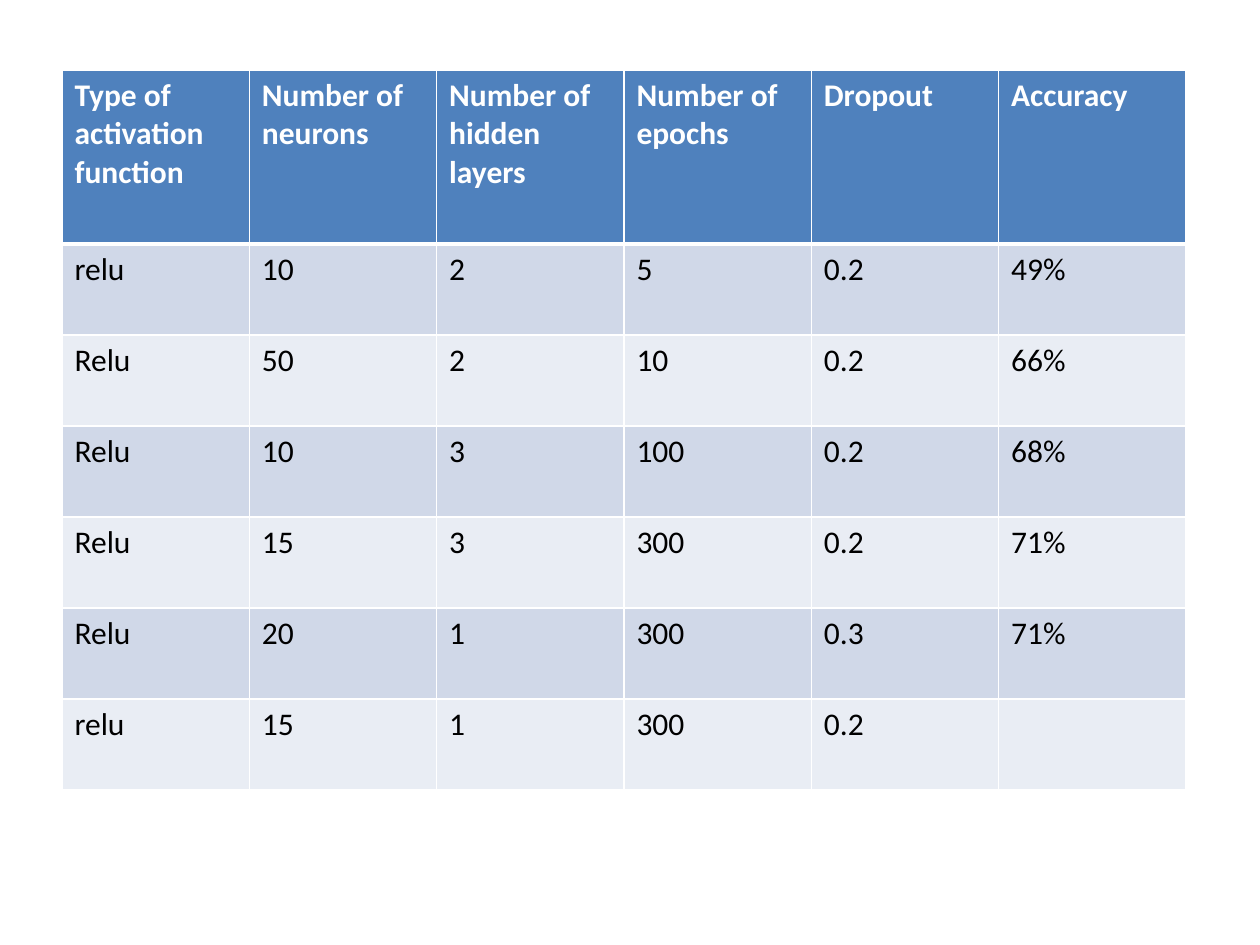
"""Build a slide with a table of neural network training results."""
from lxml.etree import SubElement
from pptx import Presentation
from pptx.dml.color import RGBColor
from pptx.oxml.ns import qn
from pptx.util import Emu, Pt

EMU_PER_PX = 914400 / 126
WHITE = RGBColor(0xFF, 0xFF, 0xFF)
BLACK = RGBColor(0x00, 0x00, 0x00)
BLUE = RGBColor(0x4F, 0x81, 0xBD)
BANDS = (RGBColor(0xD0, 0xD8, 0xE8), RGBColor(0xE9, 0xED, 0xF4))

ROWS = [
    ("Type of activation function", "Number of neurons", "Number of hidden layers",
     "Number of epochs", "Dropout", "Accuracy"),
    ("relu", "10", "2", "5", "0.2", "49%"),
    ("Relu", "50", "2", "10", "0.2", "66%"),
    ("Relu", "10", "3", "100", "0.2", "68%"),
    ("Relu", "15", "3", "300", "0.2", "71%"),
    ("Relu", "20", "1", "300", "0.3", "71%"),
    ("relu", "15", "1", "300", "0.2", ""),
]


def px(length):
    return Emu(round(length * EMU_PER_PX))


def write(tf, text, *, font="Calibri", size=18, color=BLACK, bold=False):
    p = tf.paragraphs[0]
    p.font.size = Pt(size)
    if text:
        r = p.add_run()
        r.text = text
        r.font.name = font
        r.font.size = Pt(size)
        r.font.bold = bold
        r.font.color.rgb = color


class SlideBuilder:
    def __init__(self, slide, border=WHITE):
        self.slide = slide
        self.border = border

    def borders(self, cell, top=1, bottom=1):
        tc_pr = cell._tc.get_or_add_tcPr()
        for side, width in (("L", 1), ("R", 1), ("T", top), ("B", bottom)):
            ln = SubElement(tc_pr, qn(f"a:ln{side}"), w=str(Pt(width)))
            fill = SubElement(ln, qn("a:solidFill"))
            SubElement(fill, qn("a:srgbClr"), val=str(self.border))

    def table(self, rows, left, top, width, header_height, row_height):
        height = header_height + row_height * (len(rows) - 1)
        table = self.slide.shapes.add_table(
            len(rows), len(rows[0]), px(left), px(top), px(width), px(height)).table
        for i, values in enumerate(rows):
            header = i == 0
            table.rows[i].height = px(header_height if header else row_height)
            for j, text in enumerate(values):
                cell = table.cell(i, j)
                self.borders(cell, top=3 if i == 1 else 1, bottom=3 if header else 1)
                cell.fill.solid()
                cell.fill.fore_color.rgb = BLUE if header else BANDS[(i - 1) % 2]
                write(cell.text_frame, text, color=WHITE if header else BLACK, bold=header)


def main():
    prs = Presentation()
    prs.slide_width, prs.slide_height = px(1260), px(945)
    s = SlideBuilder(prs.slides.add_slide(prs.slide_layouts[6]))
    s.table(ROWS, 62, 70, 1124, header_height=174, row_height=91)
    prs.save("out.pptx")


if __name__ == "__main__":
    main()
